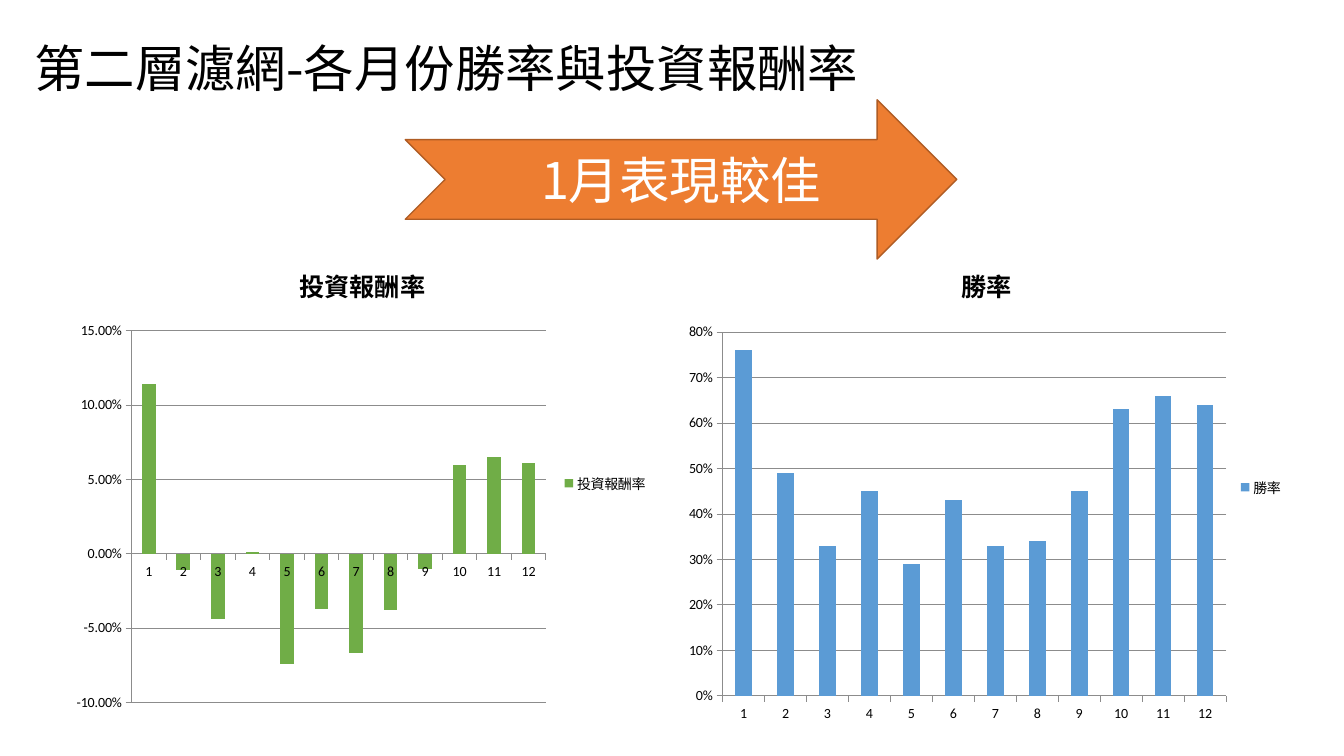
from lxml.etree import SubElement
from pptx import Presentation
from pptx.chart.data import CategoryChartData
from pptx.dml.color import RGBColor
from pptx.enum.chart import XL_CHART_TYPE, XL_LEGEND_POSITION, XL_TICK_MARK
from pptx.enum.shapes import MSO_SHAPE
from pptx.enum.text import MSO_ANCHOR, PP_ALIGN
from pptx.oxml import parse_xml
from pptx.oxml.ns import nsdecls, qn
from pptx.util import Inches, Pt

COLORS = {"text": "000000", "white": "FFFFFF", "axis": "8C8C8C", "return": "70AD47",
          "win": "5B9BD5", "arrow": "ED7D31", "arrow_line": "AF5C24"}
CHINESE_FONT = "Noto Sans CJK SC"
NUMBER_FONT = "Calibri"
MONTHS = [str(month) for month in range(1, 13)]
CHARTS = [
    {"name": "勝率", "box": (6.74, 2.43, 6.09, 4.81), "plot": (0.07, 0.18, 0.82, 0.75),
     "color": "win", "scale": (0, 0.8, 0.1), "number_format": "0%",
     "values": [0.76, 0.49, 0.33, 0.45, 0.29, 0.43, 0.33, 0.34, 0.45, 0.63, 0.66, 0.64]},
    {"name": "投資報酬率", "box": (0.66, 2.43, 5.87, 4.73), "plot": (0.11, 0.18, 0.7, 0.78),
     "color": "return", "scale": (-0.1, 0.15, 0.05), "number_format": "0.00%",
     "values": [0.114, -0.011, -0.044, 0.001, -0.074, -0.037,
                -0.067, -0.038, -0.01, 0.06, 0.065, 0.061]},
]


def color(name):
    """Return the named colour."""
    return RGBColor.from_string(COLORS[name])


def write_text(frame, text, size=36, ink="text", bold=False, align=None, spacing=None):
    """Write one formatted paragraph with Latin and East Asian fonts."""
    frame.text = text
    paragraph = frame.paragraphs[0]
    paragraph.alignment = align
    paragraph.line_spacing = spacing
    font = paragraph.runs[0].font
    font.size, font.bold, font.name = Pt(size), bold, CHINESE_FONT
    font.color.rgb = color(ink)
    properties = paragraph.runs[0].font._element
    SubElement(properties, qn("a:ea")).set("typeface", CHINESE_FONT)


def format_line(line, ink, width):
    """Set the colour and width of a line."""
    line.color.rgb = color(ink)
    line.width = Pt(width)


def add_title(slide, box):
    """Place and fill the title placeholder."""
    title = slide.shapes.title
    title.left, title.top, title.width, title.height = map(Inches, box)
    title.text_frame.vertical_anchor = MSO_ANCHOR.MIDDLE
    title.text_frame.word_wrap = True
    write_text(title.text_frame, "第二層濾網-各月份勝率與投資報酬率",
               align=PP_ALIGN.LEFT, spacing=0.9)


def add_arrow(slide, box):
    """Add the notched arrow with the conclusion."""
    arrow = slide.shapes.add_shape(MSO_SHAPE.NOTCHED_RIGHT_ARROW, *map(Inches, box))
    arrow.shadow.inherit = False
    arrow.fill.solid()
    arrow.fill.fore_color.rgb = color("arrow")
    format_line(arrow.line, "arrow_line", 1)
    arrow.text_frame.vertical_anchor = MSO_ANCHOR.MIDDLE
    write_text(arrow.text_frame, "1月表現較佳", ink="white", align=PP_ALIGN.CENTER)


def set_plot_area(chart, fractions):
    """Fix the inner plot area as fractions of the chart box."""
    plot_area = chart._chartSpace.chart.plotArea
    for layout in plot_area.findall(qn("c:layout")):
        plot_area.remove(layout)
    sizes = "".join(f'<c:{tag} val="{value}"/>' for tag, value in zip("xywh", fractions))
    plot_area.insert(0, parse_xml(
        f'<c:layout {nsdecls("c")}><c:manualLayout><c:layoutTarget val="inner"/>'
        f'<c:xMode val="edge"/><c:yMode val="edge"/>{sizes}</c:manualLayout></c:layout>'))


def add_month_chart(slide, name, box, plot, color_name, scale, number_format, values):
    """Add a monthly column chart with title and legend."""
    data = CategoryChartData(number_format=number_format)
    data.categories = MONTHS
    data.add_series(name, values)
    chart = slide.shapes.add_chart(
        XL_CHART_TYPE.COLUMN_STACKED, *map(Inches, box), data).chart
    chart.font.size, chart.font.name = Pt(10), NUMBER_FONT
    chart.font.color.rgb = color("text")
    chart.has_title = True
    write_text(chart.chart_title.text_frame, name, size=18, bold=True)
    chart.chart_title.include_in_layout = False
    chart.has_legend = True
    chart.legend.position = XL_LEGEND_POSITION.RIGHT
    chart.legend.include_in_layout = False

    columns = chart.plots[0]
    columns.gap_width, columns.overlap, columns.vary_by_categories = 150, 100, False
    series = columns.series[0]
    series.invert_if_negative = False
    series.format.fill.solid()
    series.format.fill.fore_color.rgb = color(color_name)

    for axis in (chart.category_axis, chart.value_axis):
        axis.major_tick_mark = XL_TICK_MARK.OUTSIDE
        axis.minor_tick_mark = XL_TICK_MARK.NONE
        format_line(axis.format.line, "axis", 0.5)
    value_axis = chart.value_axis
    value_axis.minimum_scale, value_axis.maximum_scale, value_axis.major_unit = scale
    value_axis.has_major_gridlines = True
    format_line(value_axis.major_gridlines.format.line, "axis", 0.5)
    value_axis.tick_labels.number_format = number_format
    value_axis.tick_labels.number_format_is_linked = False
    set_plot_area(chart, plot)


def build_slide(presentation):
    """Build the monthly performance slide."""
    slide = presentation.slides.add_slide(presentation.slide_layouts[5])
    add_title(slide, (0.24, -0.02, 11.5, 1.45))
    for entry in CHARTS:
        add_month_chart(slide, entry["name"], entry["box"], entry["plot"], entry["color"],
                        entry["scale"], entry["number_format"], entry["values"])
    add_arrow(slide, (4.02, 0.99, 5.47, 1.58))


presentation = Presentation()
presentation.slide_width, presentation.slide_height = Inches(13.33), Inches(7.5)
build_slide(presentation)
presentation.save("out.pptx")
